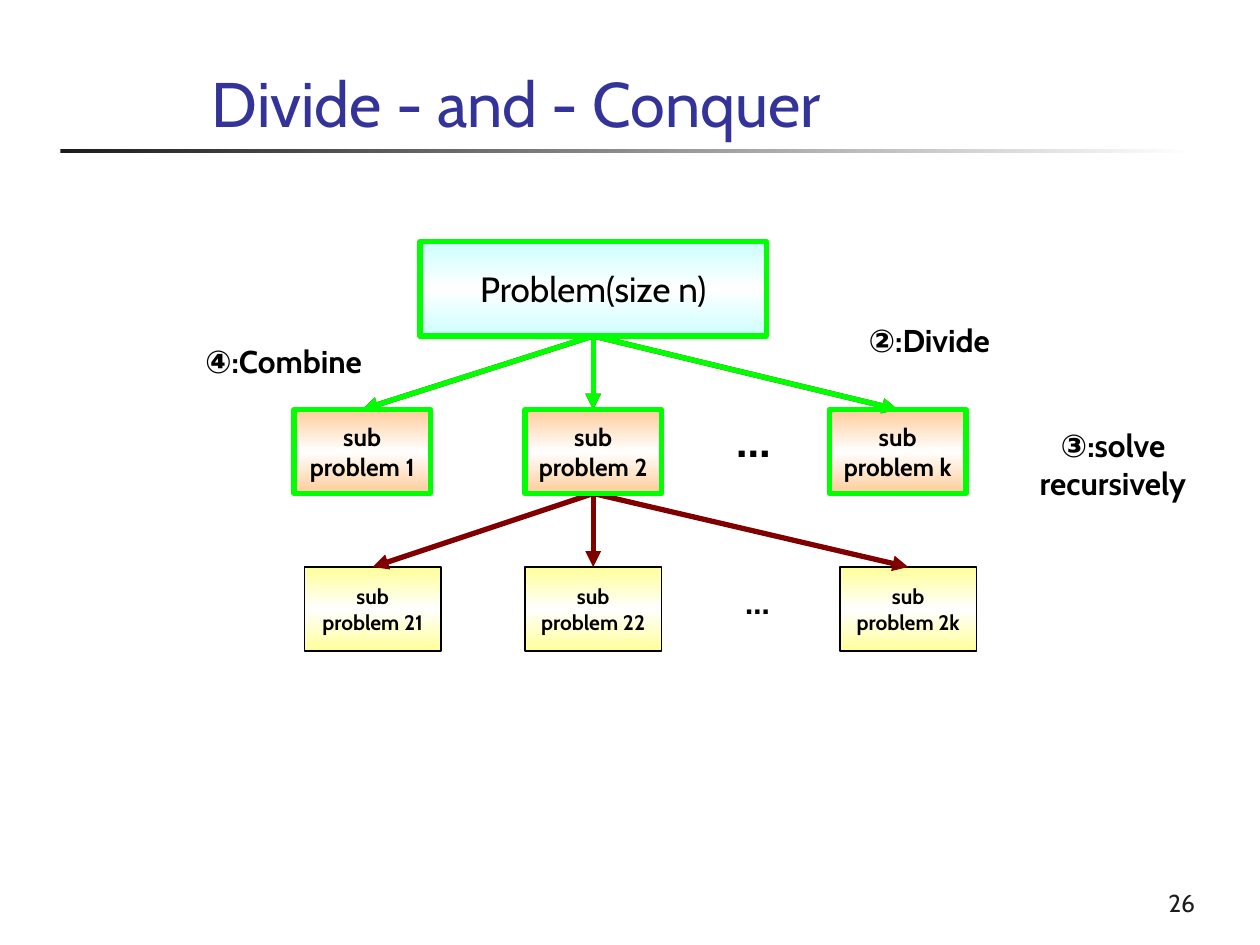
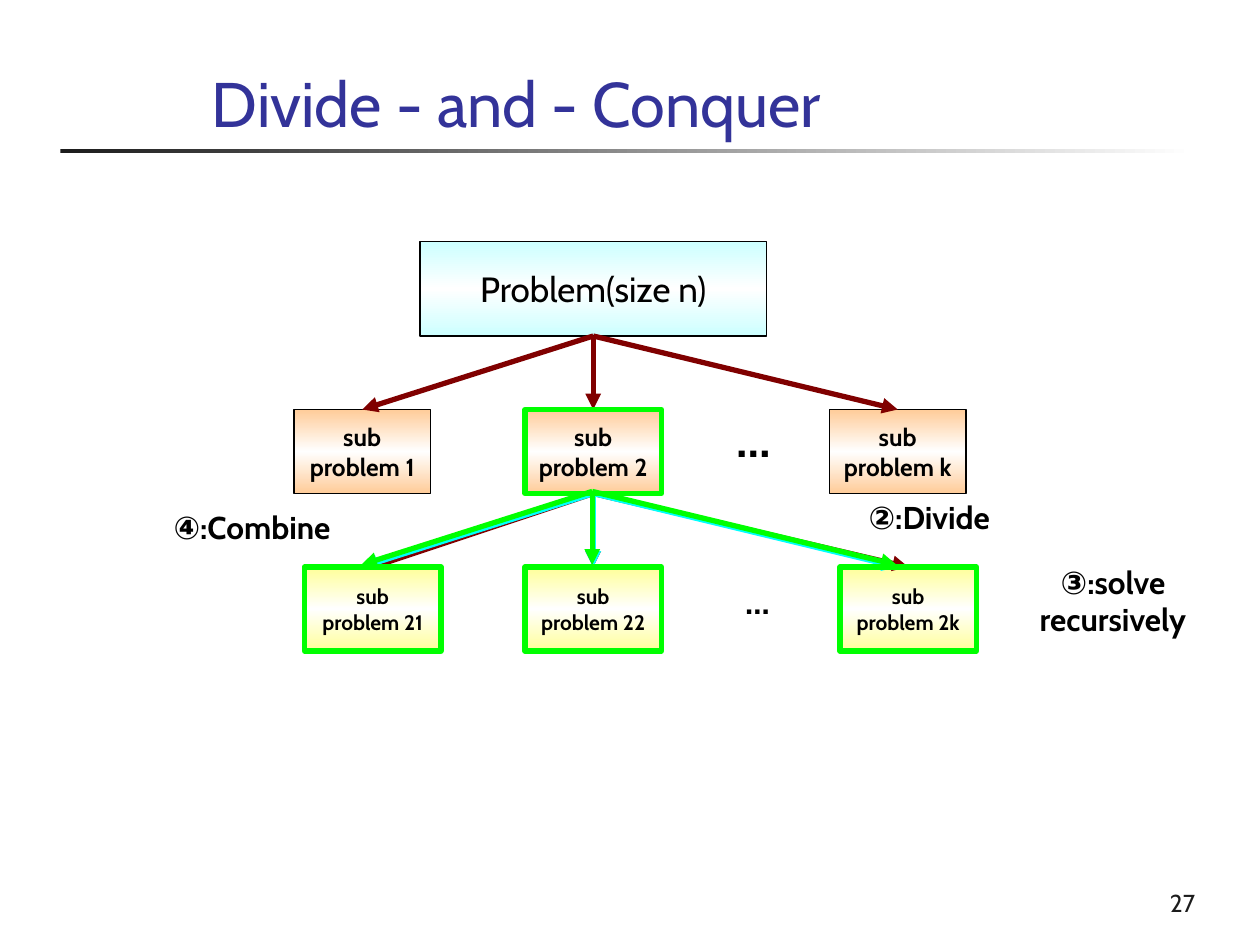
"""Build two slides that walk through a divide-and-conquer tree."""
from copy import deepcopy

from lxml.etree import SubElement
from pptx import Presentation
from pptx.dml.color import RGBColor
from pptx.enum.shapes import MSO_CONNECTOR as Link, MSO_SHAPE as Form
from pptx.enum.text import MSO_ANCHOR as Anchor, PP_ALIGN as Align
from pptx.oxml.ns import qn
from pptx.util import Inches, Pt

BLACK = RGBColor(0x00, 0x00, 0x00)
WHITE = RGBColor(0xFF, 0xFF, 0xFF)
INK = RGBColor(0x1C, 0x1C, 0x1C)
BLUE = RGBColor(0x33, 0x33, 0x99)
MAROON = RGBColor(0x80, 0x00, 0x00)
CYAN = RGBColor(0x00, 0xFF, 0xFF)
GREEN = RGBColor(0x00, 0xFF, 0x00)
AQUA = RGBColor(0xCC, 0xFF, 0xFF)
PEACH = RGBColor(0xFF, 0xCC, 0x99)
LEMON = RGBColor(0xFF, 0xFF, 0x99)

COLS, ROWS = 120, 90
FONT, MARK = "Cabin", "Arial"
ROOT = (40, 23, 33, 9)
MID_X, MID_Y = (28, 50, 79), 39
LOW_X, LOW_Y = (29, 50, 80), 54
SUB_W, SUB_H = 13, 8


class Deck:
    """Hold the style and the current slide, placing things on a 120 by 90 grid."""

    def __init__(self):
        self.prs = Presentation()
        self.prs.slide_width, self.prs.slide_height = Inches(10), Inches(7.5)

    def grid(self, x, y):
        return (round(x * self.prs.slide_width / COLS),
                round(y * self.prs.slide_height / ROWS))

    def page(self, title, num):
        self.slide = self.prs.slides.add_slide(self.prs.slide_layouts[6])
        rule = self.rect(5.76, 14.2, 108, 0.4)
        self.blend(rule, (INK, WHITE), 0)
        rule.line.fill.background()
        self.text(title, 19, 5.6, 94, 8.4, 36, hue=BLUE)
        foot = self.text(str(num), 90, 82, 25, 6, 14, Align.RIGHT, INK)
        foot.vertical_anchor = Anchor.BOTTOM

    def style(self, run, size, hue=BLACK, bold=False, face=FONT):
        font = run.font
        font.name, font.size, font.bold = face, Pt(size), bold
        font.color.rgb = hue

    def put(self, frame, words, size, align, hue=BLACK, bold=False):
        frame.text = words
        for para in frame.paragraphs:
            para.alignment = align
            for run in para.runs:
                self.style(run, size, hue, bold)

    def text(self, words, x, y, w, h, size, align=Align.LEFT, hue=BLACK,
             bold=False, wrap=True):
        box = self.slide.shapes.add_textbox(*self.grid(x, y), *self.grid(w, h))
        frame = box.text_frame
        frame.word_wrap = wrap
        self.put(frame, words, size, align, hue, bold)
        return frame

    def label(self, mark, words, x, y, w, h=4.8):
        para = self.text(mark, x, y, w, h, 18, Align.CENTER).paragraphs[0]
        para.add_run().text = words
        for run, face in zip(para.runs, (MARK, FONT)):
            self.style(run, 18, bold=True, face=face)

    def rect(self, x, y, w, h):
        shape = self.slide.shapes.add_shape(
            Form.RECTANGLE, *self.grid(x, y), *self.grid(w, h))
        shape.shadow.inherit = False
        return shape

    def blend(self, shape, hues, angle):
        fill = shape.fill
        fill.gradient()
        fill.gradient_angle = angle
        stops = next(shape.element.iter(qn("a:gsLst")))
        while len(stops) < len(hues):
            stops.append(deepcopy(stops[-1]))
        for i, (stop, hue) in enumerate(zip(fill.gradient_stops, hues)):
            stop.color.rgb = hue
            stop.position = i / (len(hues) - 1)

    def box(self, words, area, hue, size, bold=True):
        shape = self.rect(*area)
        self.blend(shape, (hue, WHITE, hue), 90)
        shape.line.color.rgb, shape.line.width = BLACK, Pt(0.75)
        frame = shape.text_frame
        frame.word_wrap = False
        frame.vertical_anchor = Anchor.MIDDLE
        self.put(frame, words, size, Align.CENTER, bold=bold)
        return shape

    def row(self, tags, xs, y, hue, size):
        return [self.box(f"sub\nproblem {tag}", (x, y, SUB_W, SUB_H), hue, size)
                for tag, x in zip(tags, xs)]

    def frame(self, *area):
        shape = self.rect(*area)
        shape.fill.background()
        shape.line.color.rgb, shape.line.width = GREEN, Pt(3)

    def arrow(self, start, end, hue):
        link = self.slide.shapes.add_connector(
            Link.STRAIGHT, *self.grid(*start), *self.grid(*end))
        link.line.color.rgb, link.line.width = hue, Pt(3)
        line = next(link.element.iter(qn("a:ln")))
        SubElement(line, qn("a:tailEnd"), type="triangle")
        SubElement(link.element.spPr, qn("a:effectLst"))
        return link

    def join(self, top, kids, hue):
        for kid in kids:
            link = self.arrow((0, 0), (1, 1), hue)
            link.begin_connect(top, 2)
            link.end_connect(kid, 0)

    def fan(self, hue, dx=0, dy=0):
        mids = [x + SUB_W / 2 + dx for x in MID_X]
        for mid in mids:
            self.arrow((mids[1], MID_Y + SUB_H + dy), (mid, LOW_Y + dy), hue)

    def tree(self):
        root = self.box("Problem(size n)", ROOT, AQUA, 20, bold=False)
        mid = self.row(("1", "2", "k"), MID_X, MID_Y, PEACH, 14)
        self.text("…", 69, 38.3, 6.4, 6.8, 28, bold=True, wrap=False)
        self.join(root, mid, MAROON)
        low = self.row(("21", "22", "2k"), LOW_X, LOW_Y, LEMON, 12)
        self.text("…", 69.8, 54.6, 5.3, 5.3, 20, bold=True, wrap=False)
        self.join(mid[1], low, MAROON)
        return root, mid

    def steps(self, split, solve, merge):
        self.label("②", ":Divide", *split, 19)
        self.label("③", ":solve recursively", *solve, 24, 8.4)
        self.label("④", ":Combine", *merge, 22)

    def frames(self, xs, y):
        for x in xs:
            self.frame(x, y, SUB_W, SUB_H)


def main():
    deck = Deck()
    title = "Divide - and - Conquer"

    deck.page(title, 26)
    root, mid = deck.tree()
    deck.steps((79, 30), (94, 40), (16, 32))
    deck.frames(MID_X, MID_Y)
    deck.join(root, mid, GREEN)
    deck.frame(*ROOT)

    deck.page(title, 27)
    deck.tree()
    deck.steps((79, 46.8), (94, 53), (13, 47.8))
    deck.fan(CYAN)
    deck.frames(LOW_X, LOW_Y)
    deck.fan(GREEN, -0.1, -0.2)
    deck.frames(MID_X[1:2], MID_Y)

    deck.prs.save("out.pptx")


if __name__ == "__main__":
    main()
